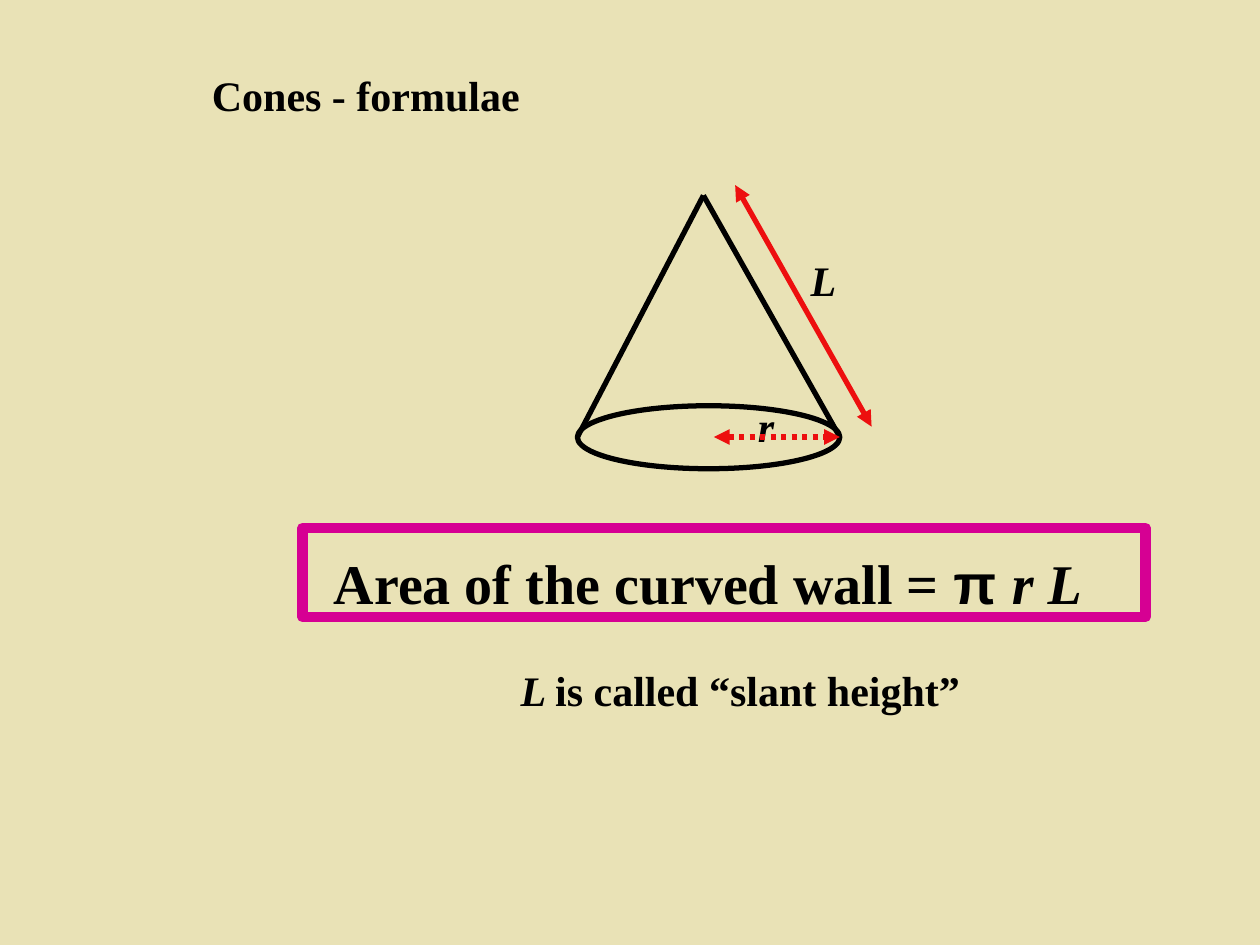
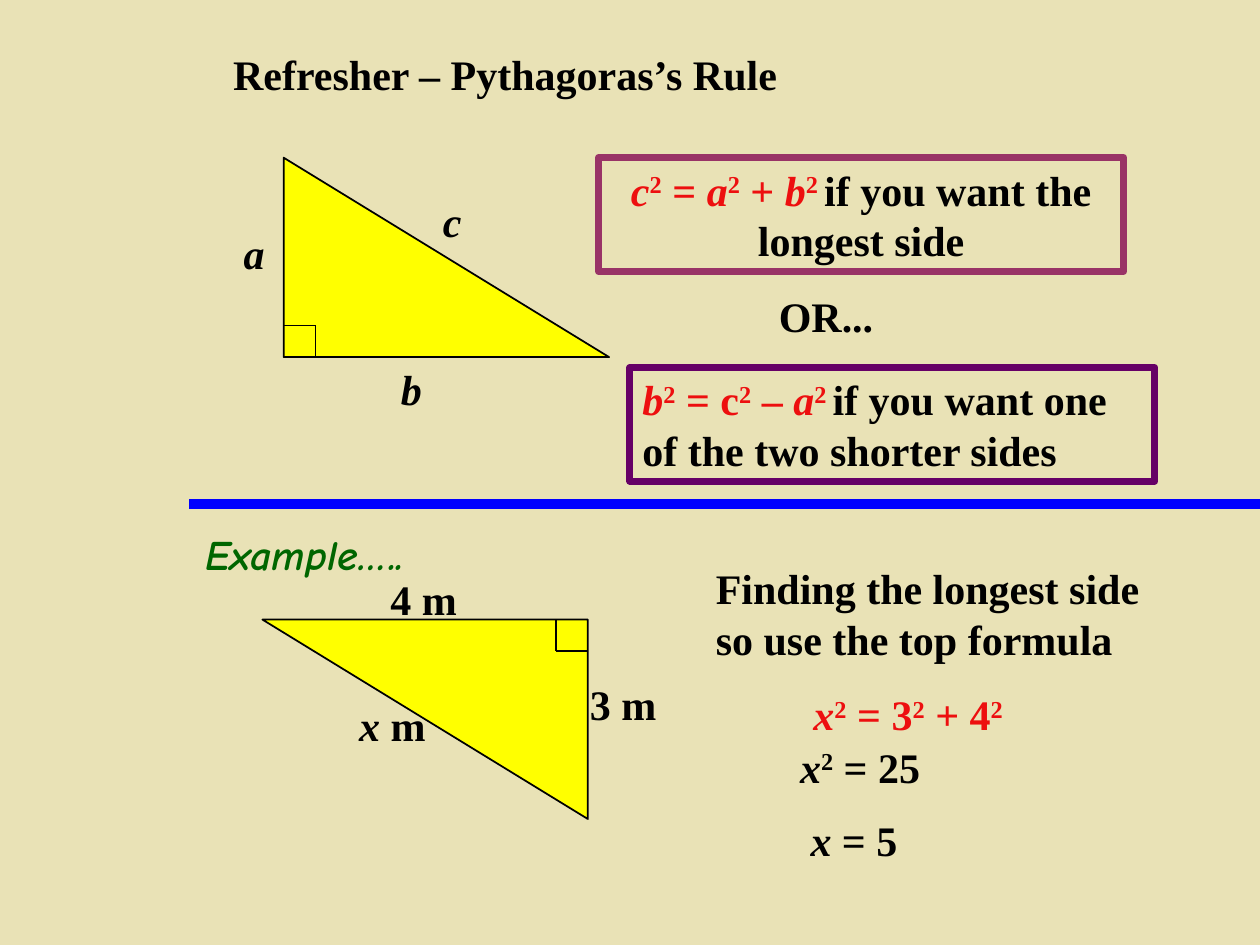
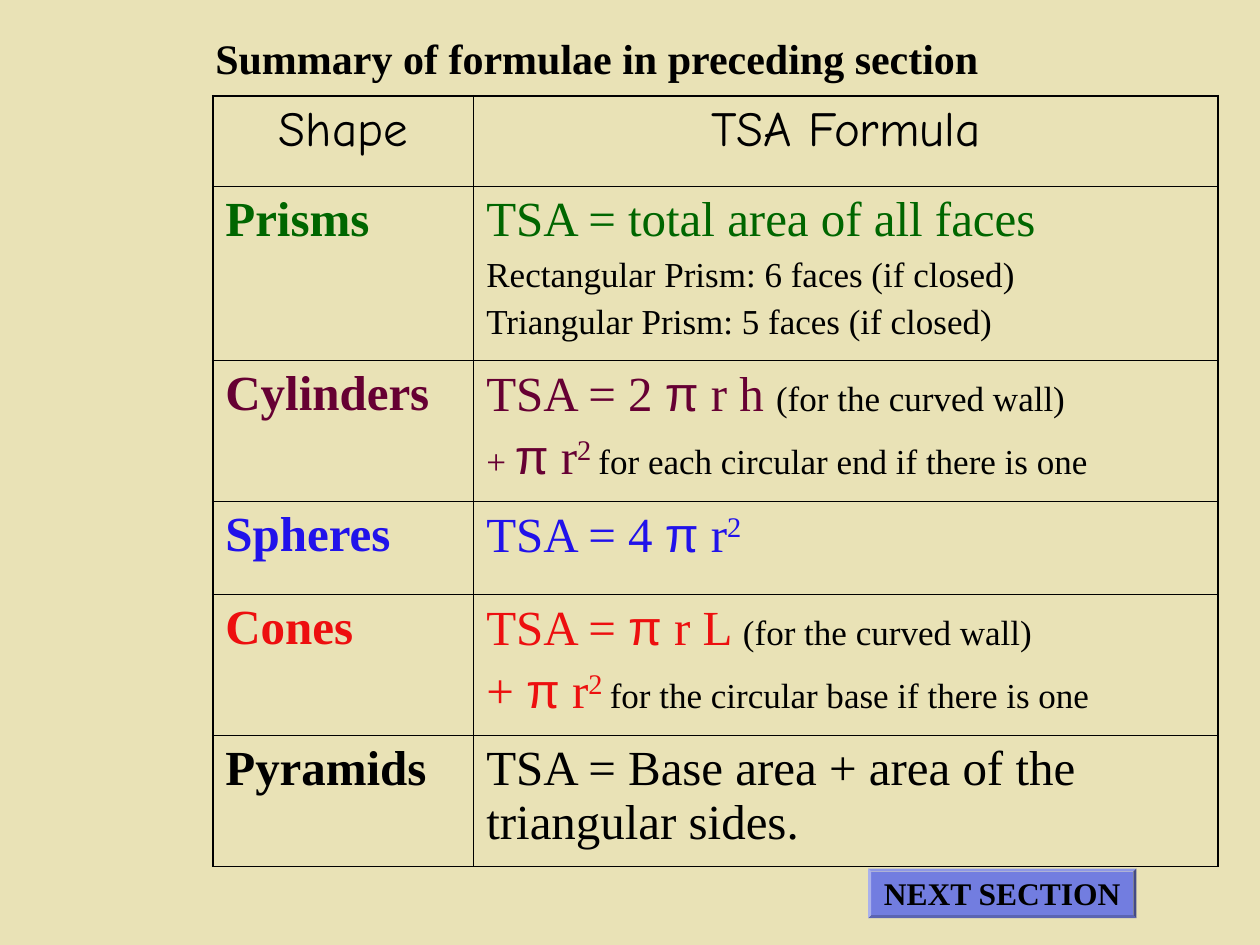
from dataclasses import dataclass, field
from typing import Any, NamedTuple

from pptx import Presentation
from pptx.dml.color import RGBColor
from pptx.enum.dml import MSO_LINE
from pptx.enum.shapes import MSO_CONNECTOR, MSO_SHAPE
from pptx.enum.text import MSO_ANCHOR, MSO_AUTO_SIZE, PP_ALIGN
from pptx.oxml.ns import qn
from pptx.util import Cm, Pt
from lxml import etree

RECT, OVAL, BEVEL = MSO_SHAPE.RECTANGLE, MSO_SHAPE.OVAL, MSO_SHAPE.BEVEL
TRIANGLE = MSO_SHAPE.RIGHT_TRIANGLE
STRAIGHT = MSO_CONNECTOR.STRAIGHT
DOTTED = MSO_LINE.ROUND_DOT
LEFT, CENTER = PP_ALIGN.LEFT, PP_ALIGN.CENTER
TOP, MIDDLE = MSO_ANCHOR.TOP, MSO_ANCHOR.MIDDLE
NO_FIT = MSO_AUTO_SIZE.NONE
TITLE_ONLY = 5


@dataclass(frozen=True)
class Theme:
    paper: str = "E9E2B6"
    ink: str = "000000"
    red: str = "ED0F0F"
    magenta: str = "D60093"
    rose: str = "993366"
    purple: str = "660066"
    maroon: str = "660033"
    green: str = "006600"
    blue: str = "2112EA"
    divider: str = "0000FF"
    yellow: str = "FFFF00"
    button: str = "727DE0"
    serif: str = "Times New Roman"
    sans: str = "Arial"
    comic: str = "Comic Neue"
    small: int = 18
    note: int = 20
    text: int = 24
    cell: int = 28
    formula: int = 32


T = Theme()
BASE = {"name": T.serif, "size": T.text, "bold": True, "color": T.ink}
ITALIC = {"italic": True}
SUP = {"baseline": "30000"}
RED = {"color": T.red}
NOTE = {"size": T.note, "color": T.ink}


class Run(NamedTuple):
    text: str
    fmt: dict[str, Any] = {}


class Area(NamedTuple):
    left: float
    top: float
    width: float
    height: float = 1.27

    def cm(self) -> list[Cm]:
        return [Cm(v) for v in self]


class Line(NamedTuple):
    start: tuple[float, float]
    end: tuple[float, float]
    color: str = T.ink
    width: float = 3
    arrows: bool = False
    dash: Any = None


@dataclass
class Label:
    area: Area
    runs: list[Run]
    fmt: dict[str, Any] = field(default_factory=dict)
    align: Any = LEFT
    wrap: bool = True


@dataclass
class Panel:
    area: Area
    kind: Any = RECT
    fill: str | None = None
    line: str | None = None
    width: float = 1
    rotation: float = 0


@dataclass
class Formula:
    name: str
    color: str
    height: float
    paragraphs: list[list[Run]]


def rgb(color: str) -> RGBColor:
    return RGBColor.from_string(color)


def squared(letter: str, slanted: bool = True, gap: str = "") -> list[Run]:
    return [Run(letter, ITALIC if slanted else {}), Run("2" + gap, SUP)]


def tinted(runs: list[Run], fmt: dict[str, Any]) -> list[Run]:
    return [Run(r.text, r.fmt | fmt) for r in runs]


def write(tf, paragraphs: list[list[Run]], fmt: dict[str, Any], align=LEFT) -> None:
    for i, runs in enumerate(paragraphs):
        p = tf.add_paragraph() if i else tf.paragraphs[0]
        p.alignment = align
        if i:
            p.space_before = Pt(5)
        for run in runs:
            r = p.add_run()
            r.text = run.text
            values = BASE | fmt | run.fmt
            r.font.color.rgb = rgb(values.pop("color"))
            if "baseline" in values:
                r.font._element.set("baseline", values.pop("baseline"))
            values["size"] = Pt(values["size"])
            for key, value in values.items():
                setattr(r.font, key, value)


def set_frame(tf, wrap: bool = True, anchor=TOP) -> None:
    frame = {
        "word_wrap": wrap, "auto_size": NO_FIT, "vertical_anchor": anchor,
        "margin_left": Cm(0.25), "margin_right": Cm(0.25),
        "margin_top": Cm(0.13), "margin_bottom": Cm(0.13),
    }
    for key, value in frame.items():
        setattr(tf, key, value)


def add_slide(prs, title: str, area: Area):
    s = prs.slides.add_slide(prs.slide_layouts[TITLE_ONLY])
    sp = s.shapes.title
    sp.left, sp.top, sp.width, sp.height = area.cm()
    set_frame(sp.text_frame)
    write(sp.text_frame, [[Run(title)]], {})
    return s


def add_label(shapes, label: Label) -> None:
    tf = shapes.add_textbox(*label.area.cm()).text_frame
    set_frame(tf, label.wrap)
    write(tf, [label.runs], label.fmt, label.align)


def add_panel(shapes, panel: Panel):
    sp = shapes.add_shape(panel.kind, *panel.area.cm())
    sp.shadow.inherit = False
    sp.rotation = panel.rotation
    if panel.fill:
        sp.fill.solid()
        sp.fill.fore_color.rgb = rgb(panel.fill)
    else:
        sp.fill.background()
    if panel.line:
        sp.line.color.rgb = rgb(panel.line)
        sp.line.width = Pt(panel.width)
    else:
        sp.line.fill.background()
    return sp


def add_line(shapes, line: Line) -> None:
    sp = shapes.add_connector(STRAIGHT, *(Cm(v) for v in line.start + line.end))
    sp.line.color.rgb = rgb(line.color)
    sp.line.width = Pt(line.width)
    if line.dash:
        sp.line.dash_style = line.dash
    if line.arrows:
        ln = sp.line._get_or_add_ln()
        for tag in ("a:headEnd", "a:tailEnd"):
            etree.SubElement(ln, qn(tag), type="triangle")
    etree.SubElement(sp._element.spPr, qn("a:effectLst"))


def add_right_triangle(shapes, left: float, top: float, flipped: bool = False) -> None:
    width, height, mark = 6.56, 4.02, 0.64
    group = shapes.add_group_shape().shapes
    add_panel(group, Panel(Area(left, top, width, height), TRIANGLE, T.yellow, T.ink,
                           rotation=180 if flipped else 0))
    x, y = (left + width, top) if flipped else (left, top + height)
    step = -mark if flipped else mark
    inner = (x + step, y - step)
    for start in ((x, y - step), (x + step, y)):
        add_line(group, Line(start, inner, width=1))


def add_borders(cell, widths: dict[str, float]) -> None:
    tcPr = cell._tc.get_or_add_tcPr()
    for side, width in widths.items():
        ln = etree.SubElement(tcPr, qn(f"a:ln{side}"), w=str(Pt(width)))
        fill = etree.SubElement(ln, qn("a:solidFill"))
        etree.SubElement(fill, qn("a:srgbClr"), val=T.ink)


def add_formula_table(shapes, headings: list[str], rows: list[Formula]) -> None:
    widths, heights = [5.26, 15.01], [1.83] + [row.height for row in rows]
    area = Area(4.29, 1.93, sum(widths), sum(heights))
    tbl = shapes.add_table(len(heights), len(widths), *area.cm()).table
    tbl.first_row = tbl.horz_banding = False
    for col, width in zip(tbl.columns, widths):
        col.width = Cm(width)
    for row, height in zip(tbl.rows, heights):
        row.height = Cm(height)

    plain = {"size": T.cell, "bold": False}
    for i, heading in enumerate(headings):
        write(tbl.cell(0, i).text_frame, [[Run(heading)]],
              plain | {"name": T.comic}, CENTER)
    for i, row in enumerate(rows, 1):
        fmt = plain | {"color": row.color}
        write(tbl.cell(i, 0).text_frame, [[Run(row.name)]], fmt | {"bold": True})
        write(tbl.cell(i, 1).text_frame, row.paragraphs, fmt)

    outer, inner = 1.08, 0.45
    last_row, last_col = len(heights) - 1, len(widths) - 1
    for i in range(len(heights)):
        for j in range(len(widths)):
            edges = {"L": j == 0, "R": j == last_col, "T": i == 0, "B": i == last_row}
            cell = tbl.cell(i, j)
            add_borders(cell, {k: outer if edge else inner for k, edge in edges.items()})
            cell.fill.background()


def cone_slide(prs) -> None:
    s = add_slide(prs, "Cones - formulae", Area(4.02, 1.27, 10.16))
    apex, base_left, base_right = (14.18, 3.94), (11.64, 8.81), (16.93, 8.81)
    cone = s.shapes.add_group_shape().shapes
    add_panel(cone, Panel(Area(11.64, 8.18, 5.29), OVAL, line=T.ink, width=3))
    for corner in (base_left, base_right):
        add_line(cone, Line(apex, corner))
    add_label(cone, Label(Area(15.03, 7.95, 1.48), [Run("r", ITALIC)]))
    add_line(cone, Line((14.39, 8.81), base_right, T.red, arrows=True, dash=DOTTED))
    add_label(cone, Label(Area(16.09, 5, 2.54), [Run("L", ITALIC)]))
    add_line(cone, Line((14.82, 3.73), (17.57, 8.6), T.red, arrows=True))

    add_label(s.shapes, Label(
        Area(7.2, 13.26, 15.45),
        [Run("L ", ITALIC), Run("is called “slant height”")], align=CENTER))
    add_label(s.shapes, Label(
        Area(6.48, 10.92, 16.51, 1.63),
        [Run("Area of the curved wall = "), Run("π ", {"name": T.sans}),
         Run("r L", ITALIC)], {"size": T.formula}))
    add_panel(s.shapes, Panel(Area(6.1, 10.64, 16.99, 1.8), line=T.magenta, width=6))


def pythagoras_slide(prs) -> None:
    s = add_slide(prs, "Refresher – Pythagoras’s Rule", Area(4.45, 0.85, 13.12))
    add_right_triangle(s.shapes, 5.72, 3.18)
    add_right_triangle(s.shapes, 5.29, 12.49, flipped=True)
    add_line(s.shapes, Line((3.81, 10.16), (25.4, 10.16), T.divider, 6))

    longest = squared("c") + [Run(" = ")] + squared("a") + [Run(" + ")]
    longest += squared("b", gap=" ")
    shorter = squared("b") + [Run(" = ")] + squared("c", False) + [Run(" – ")]
    shorter += squared("a", gap=" ")
    rules = [
        (Area(12.07, 3.18, 10.58, 2.29), T.rose, 4.25, CENTER, longest,
         "if you want the longest side"),
        (Area(12.7, 7.41, 10.58, 2.29), T.purple, 4, LEFT, shorter,
         "if you want one of the two shorter sides"),
    ]
    for area, color, width, align, equation, use in rules:
        sp = add_panel(s.shapes, Panel(area, line=color, width=width))
        set_frame(sp.text_frame)
        write(sp.text_frame, [tinted(equation, RED) + [Run(use)]], {}, align)

    sum_of_squares = squared("x") + [Run(" = ")] + squared("3", False)
    sum_of_squares += [Run(" + ")] + squared("4", False)
    labels = [
        Label(Area(4.66, 4.45, 1.69), [Run("a", ITALIC)]),
        Label(Area(8.68, 3.81, 1.69), [Run("c", ITALIC)]),
        Label(Area(7.83, 7.2, 1.69), [Run("b", ITALIC)]),
        Label(Area(15.45, 5.72, 2.54), [Run("OR...")]),
        Label(Area(7.62, 11.43, 2.33), [Run("4 m")]),
        Label(Area(11.64, 13.55, 2.33), [Run("3 m")]),
        Label(Area(6.99, 13.97, 2.33), [Run("x", ITALIC), Run(" m")]),
        Label(Area(14.18, 11.22, 9.31, 2.29),
              [Run("Finding the longest side so use the top formula")]),
        Label(Area(16.15, 13.76, 4.32), sum_of_squares, RED, wrap=False),
        Label(Area(15.88, 14.82, 5.51), squared("x") + [Run(" = 25")]),
        Label(Area(16.09, 16.3, 6.77), [Run("x", ITALIC), Run(" = 5")]),
        Label(Area(3.89, 10.52, 5.99), [Run("Example…..")],
              {"name": T.comic, "color": T.green, "italic": True}),
    ]
    for label in labels:
        add_label(s.shapes, label)


def summary_slide(prs) -> None:
    s = add_slide(prs, "Summary of formulae in preceding section",
                  Area(4.09, 0.53, 16.99))
    pi = Run("π", {"name": T.sans})
    wall = Run("(for the curved wall)", NOTE)
    disc = [pi] + squared(" r", False, " ")
    add_formula_table(s.shapes, ["Shape", "TSA Formula"], [
        Formula("Prisms", T.green, 3.51, [
            [Run("TSA = total area of all faces")],
            [Run("Rectangular Prism: 6 faces (if closed)", NOTE)],
            [Run("Triangular Prism: 5 faces (if closed)", NOTE)]]),
        Formula("Cylinders", T.maroon, 2.84, [
            [Run("TSA = 2 "), pi, Run(" r h "), wall],
            [Run("+ ", {"size": T.note}), *disc,
             Run("for each circular end if there is one", NOTE)]]),
        Formula("Spheres", T.blue, 1.88, [
            [Run("TSA = 4 "), pi, *squared(" r", False)]]),
        Formula("Cones", T.red, 2.84, [
            [Run("TSA = "), pi, Run(" r L "), wall],
            [Run("+ "), *disc, Run("for the circular base if there is one", NOTE)]]),
        Formula("Pyramids", T.ink, 2.64, [
            [Run("TSA = Base area + area of the triangular sides.")]]),
    ])
    sp = add_panel(s.shapes, Panel(Area(17.5, 17.51, 5.41, 1), BEVEL, T.button))
    sp.adjustments[0] = 0.06
    set_frame(sp.text_frame, wrap=False, anchor=MIDDLE)
    write(sp.text_frame, [[Run("NEXT SECTION")]], {"size": T.small}, CENTER)


def main() -> None:
    prs = Presentation()
    prs.slide_width, prs.slide_height = Cm(25.4), Cm(19.05)
    fill = prs.slide_master.background.fill
    fill.solid()
    fill.fore_color.rgb = rgb(T.paper)
    for build in (cone_slide, pythagoras_slide, summary_slide):
        build(prs)
    prs.save("out.pptx")


if __name__ == "__main__":
    main()
